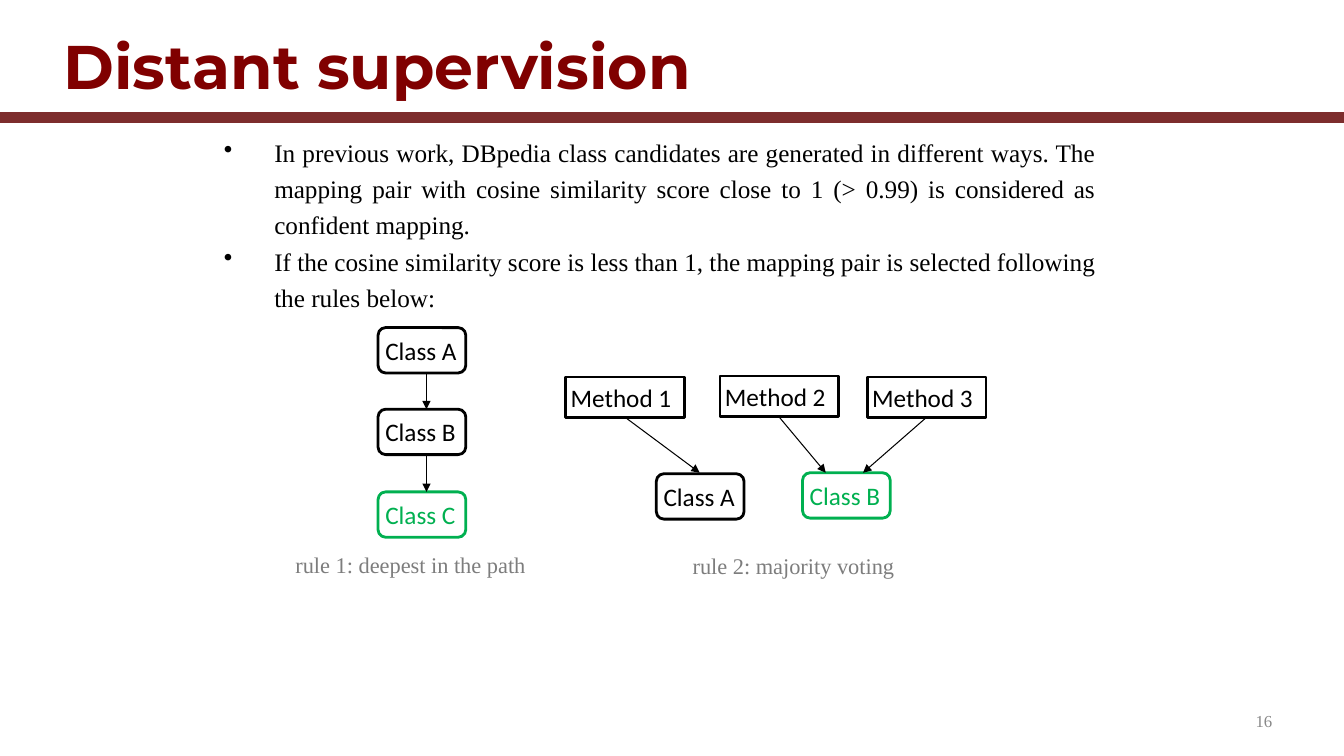
from pptx import Presentation
from pptx import util as u
from pptx.dml.color import RGBColor
from pptx.enum import shapes, text
from pptx.oxml import ns
from lxml import etree

WHITE = RGBColor(0xFF, 0xFF, 0xFF)
BLACK = RGBColor(0x00, 0x00, 0x00)
GREEN = RGBColor(0x00, 0xB0, 0x50)
MAROON = RGBColor(0x80, 0x00, 0x00)
BRICK = RGBColor(0x7D, 0x2D, 0x2D)
GREY = RGBColor(0x7D, 0x7D, 0x7D)
SILVER = RGBColor(0x88, 0x88, 0x88)
SERIF, SANS, HEAD = "Times New Roman", "Calibri", "Montserrat"
ROUND = shapes.MSO_SHAPE.ROUNDED_RECTANGLE
RECT = shapes.MSO_SHAPE.RECTANGLE
TOP, MIDDLE = text.MSO_ANCHOR.TOP, text.MSO_ANCHOR.MIDDLE
LEFT, RIGHT = text.PP_ALIGN.LEFT, text.PP_ALIGN.RIGHT
JUSTIFY = text.PP_ALIGN.JUSTIFY


class Board:
    """Draws styled elements on the current slide."""

    def __init__(self, slide):
        self.items = slide.shapes
        self.inset = u.Inches(0.05)

    def letter(self, shape, lines, size, face, color, anchor=TOP,
               align=LEFT, bold=False, wrap=True):
        """Fill a shape with paragraphs of one style."""
        frame = shape.text_frame
        frame.word_wrap = wrap
        frame.vertical_anchor = anchor
        frame.margin_left = frame.margin_right = self.inset
        frame.margin_top = frame.margin_bottom = self.inset
        frame.text = "\n".join(lines)
        for para in frame.paragraphs:
            para.alignment = align
            font = para.font
            font.size, font.name, font.bold = u.Pt(size), face, bold
            font.color.rgb = color
        return frame.paragraphs

    def label(self, place, lines, size, face, color, **style):
        """Add a text box."""
        area = self.items.add_textbox(*map(u.Inches, place))
        return self.letter(area, lines, size, face, color, **style)

    def bullets(self, place, lines, size, face, color):
        """Add a justified bullet list."""
        for para in self.label(place, lines, size, face, color, align=JUSTIFY):
            para.line_spacing = 1.2
            props = para._p.get_or_add_pPr()
            props.set("marL", str(u.Inches(0.5)))
            props.set("indent", str(-u.Inches(0.5)))
            mark = etree.Element(ns.qn("a:buChar"), char="•")
            props.insert_element_before(mark, "a:tabLst", "a:defRPr", "a:extLst")

    def node(self, kind, place, name, color=BLACK):
        """Add an outlined box with a name in it."""
        box = self.items.add_shape(kind, *map(u.Inches, place))
        box.shadow.inherit = False
        box.fill.solid()
        box.fill.fore_color.rgb = WHITE
        box.line.color.rgb = color
        box.line.width = u.Pt(2)
        self.letter(box, [name], 18, SANS, color, anchor=MIDDLE)

    def line(self, start, end, color=BLACK, width=0.75, arrow=True):
        """Add a straight line, with an arrowhead by default."""
        link = self.items.add_connector(
            shapes.MSO_CONNECTOR.STRAIGHT, *map(u.Inches, start + end))
        link.line.color.rgb = color
        link.line.width = u.Pt(width)
        if arrow:
            stroke = link.line._get_or_add_ln()
            etree.SubElement(stroke, ns.qn("a:tailEnd"), type="triangle")
        etree.SubElement(link._element.spPr, ns.qn("a:effectLst"))


def main():
    """Build and save the slide."""
    deck = Presentation()
    deck.slide_width, deck.slide_height = u.Inches(13.33), u.Inches(7.5)
    board = Board(deck.slides.add_slide(deck.slide_layouts[6]))

    board.line((0, 1.17), (13.33, 1.17), BRICK, 8, arrow=False)
    board.label((0.58, 0.21, 12.08, 0.86), ["Distant supervision"], 44, HEAD,
                MAROON, anchor=MIDDLE, bold=True)
    board.bullets((2.17, 1.25, 8.75, 4.79), [
        "In previous work, DBpedia class candidates are generated in different "
        "ways. The mapping pair with cosine similarity score close to 1 "
        "(> 0.99) is considered as confident mapping.",
        "If the cosine similarity score is less than 1, the mapping pair is "
        "selected following the rules below:",
    ], 18, SERIF, BLACK)
    board.label((12.4, 7, 0.27, 0.3), ["16"], 12, SERIF, SILVER,
                anchor=MIDDLE, align=RIGHT, wrap=False)

    wide, high = 0.87, 0.45
    tops = (3.25, 4.06, 4.88)
    for top, mark, color in zip(tops, "ABC", (BLACK, BLACK, GREEN)):
        board.node(ROUND, (3.75, top, wide, high), f"Class {mark}", color)
    for top, below in zip(tops, tops[1:]):
        board.line((4.23, top + high), (4.23, below))

    votes = ((5.61, 3.74, 6.94), (7.14, 3.73, 8.19), (8.6, 3.74, 8.56))
    for count, (left, top, _) in enumerate(votes, 1):
        board.node(RECT, (left, top, 1.18, 0.4), f"Method {count}")
    board.node(ROUND, (6.51, 4.7, wide, high), "Class A")
    board.node(ROUND, (7.96, 4.69, wide, high), "Class B", GREEN)
    for left, _, goal in votes:
        board.line((left + 1.18 / 2, 4.14), (goal, 4.69))

    board.label((2.88, 5.42, 2.74, 0.37), ["rule 1: deepest in the path"],
                16, SERIF, GREY)
    board.label((6.82, 5.43, 2.37, 0.37), ["rule 2: majority voting"],
                16, SERIF, GREY)
    deck.save("out.pptx")


if __name__ == "__main__":
    main()
